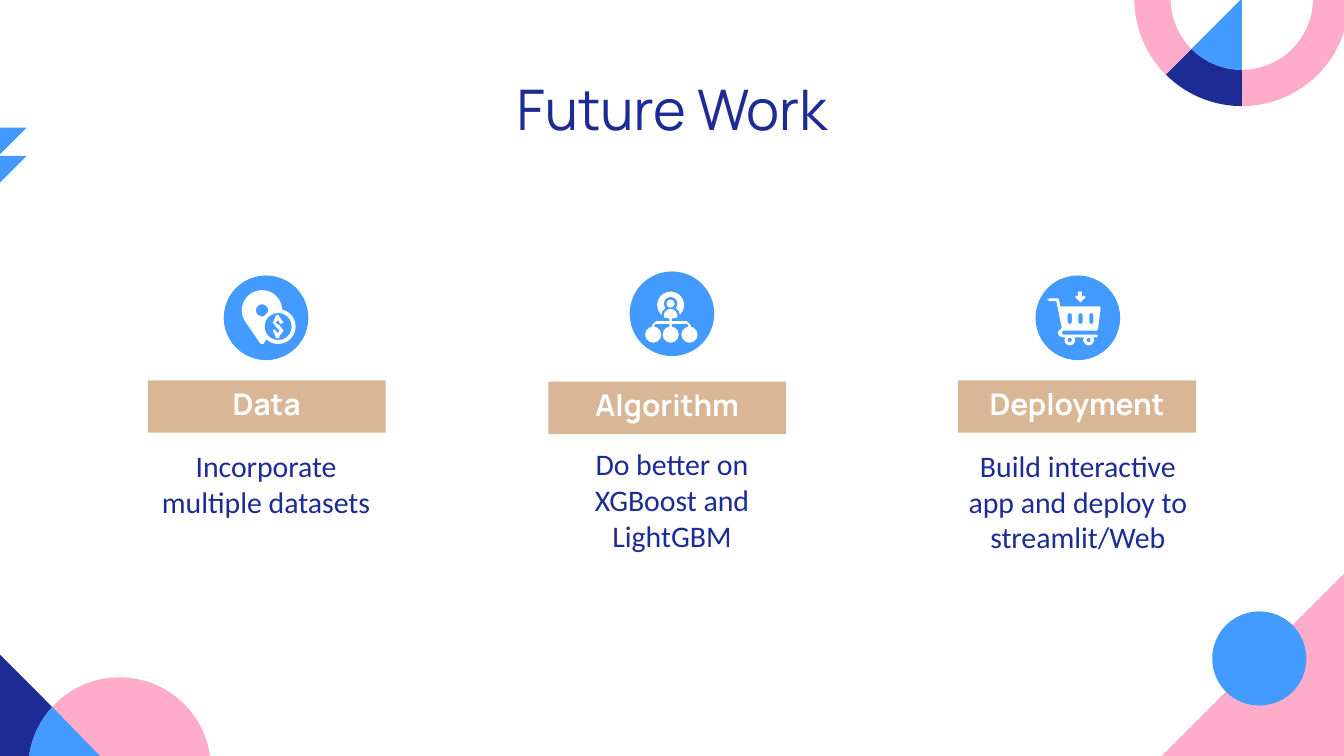
from math import cos, radians, sin

from pptx import Presentation
from pptx.dml.color import RGBColor
from pptx.enum import shapes, text
from pptx.util import Inches, Pt

NAVY, BLUE, PINK, TAN, WHITE = "1D2B95", "449BFF", "FFACCA", "D9B695", "FFFFFF"


def paint(fmt, color):
    """Give a fill a solid colour."""
    fmt.solid()
    fmt.fore_color.rgb = RGBColor.from_string(color)


def write(sp, words, *, font, size, color, bold=False, spacing=None,
          anchor=text.MSO_ANCHOR.TOP):
    tf = sp.text_frame
    tf.word_wrap = True
    tf.auto_size = text.MSO_AUTO_SIZE.NONE
    tf.vertical_anchor = anchor
    tf.margin_left = tf.margin_right = tf.margin_top = tf.margin_bottom = Inches(0.1)
    p = tf.paragraphs[0]
    p.alignment = text.PP_ALIGN.CENTER
    if spacing:
        p.line_spacing = spacing
    r = p.add_run()
    r.text = words
    r.font.name, r.font.size, r.font.bold = font, Pt(size), bold
    r.font.color.rgb = RGBColor.from_string(color)


def arc(cx, cy, radius, start, end):
    """Points along an arc; degrees run clockwise from the right."""
    n = max(8, int(abs(end - start) / 4))
    angles = (radians(start + (end - start) * i / n) for i in range(n + 1))
    return [(cx + radius * cos(a), cy + radius * sin(a)) for a in angles]


def band(cx, cy, outer, inner, start, end):
    """Outline of a piece of a ring."""
    return arc(cx, cy, outer, start, end) + arc(cx, cy, inner, end, start)


def capsule(cx, top, bottom, r):
    return arc(cx, top + r, r, 180, 360) + arc(cx, bottom - r, r, 0, 180)


class Deck:
    def __init__(self, prs, layout):
        self.s = prs.slides.add_slide(prs.slide_layouts[layout])

    def finish(self, sp, color):
        sp.shadow.inherit = False
        paint(sp.fill, color)
        sp.line.fill.background()
        return sp

    def title(self, words, box):
        sp = self.s.shapes.title
        sp.left, sp.top, sp.width, sp.height = map(Inches, box)
        write(sp, words, font="Manrope", size=30, color=NAVY,
              anchor=text.MSO_ANCHOR.MIDDLE)

    def shape(self, kind, box, color):
        return self.finish(self.s.shapes.add_shape(kind, *map(Inches, box)), color)

    def disc(self, cx, cy, r, color):
        return self.shape(shapes.MSO_SHAPE.OVAL, (cx - r, cy - r, 2 * r, 2 * r), color)

    def outline(self, color, *contours):
        """One closed freeform; later contours cut holes in the first."""
        paths = [[(Inches(x), Inches(y)) for x, y in c] for c in contours]
        fb = self.s.shapes.build_freeform(*paths[0][0])
        fb.add_line_segments(paths[0][1:], close=True)
        for path in paths[1:]:
            fb.move_to(*path[0])
            fb.add_line_segments(path[1:], close=True)
        return self.finish(fb.convert_to_shape(), color)

    def header(self, words, left, top):
        sp = self.shape(shapes.MSO_SHAPE.RECTANGLE, (left, top, 1.77, 0.39), TAN)
        write(sp, words, font="Manrope", size=16, color=WHITE, bold=True,
              spacing=0.8, anchor=text.MSO_ANCHOR.MIDDLE)

    def body(self, words, left, top):
        box = map(Inches, (left, top, 2.02, 0.63))
        write(self.s.shapes.add_textbox(*box), words,
              font="Calibri", size=16, color=NAVY)


def draw_corners(d):
    d.outline(PINK, [(10.01, 5.66), (10.01, 4.26), (8.61, 5.66)])
    d.disc(9.37, 4.9, 0.35, BLUE)

    ring = (9.24, -0.01, 0.8, 0.53)
    for color, start, end in ((PINK, 0, 90), (NAVY, 90, 135), (PINK, 135, 180)):
        d.outline(color, band(*ring, start, end))
    d.outline(BLUE, [(9.24, -0.01)] + arc(9.24, -0.01, 0.53, 90, 135))

    d.disc(0.89, 5.72, 0.68, PINK)
    edge = arc(0.89, 5.72, 0.68, 158.5, 222.5)
    d.outline(NAVY, [(-0.02, 4.85), (-0.02, 5.97)] + edge)
    d.outline(BLUE, edge + [(1.08, 5.97)])

    for top in (0.95, 1.16):
        d.outline(BLUE, [(0, top), (0.2, top), (0, top + 0.2)])


def draw_price_pin(d):
    pin = arc(1.95, 2.31, 0.15, 145, 395) + [(1.96, 2.56), (1.94, 2.56)]
    d.outline(WHITE, pin, arc(1.95, 2.31, 0.045, 0, 360))
    d.disc(2.07, 2.43, 0.13, WHITE)
    d.disc(2.07, 2.43, 0.1, BLUE)
    d.outline(WHITE, [
        (2.07, 2.34), (2.05, 2.35), (2.05, 2.36), (2.03, 2.4), (2.06, 2.44),
        (2.08, 2.46), (2.07, 2.48), (2.05, 2.46), (2.04, 2.45), (2.03, 2.46),
        (2.05, 2.5), (2.05, 2.51), (2.07, 2.52), (2.08, 2.51), (2.08, 2.5),
        (2.11, 2.46), (2.08, 2.42), (2.05, 2.4), (2.07, 2.38), (2.08, 2.4),
        (2.09, 2.41), (2.11, 2.4), (2.08, 2.36), (2.08, 2.35)])


def draw_network(d):
    x = 4.99
    d.disc(x, 2.27, 0.1, WHITE)
    d.disc(x, 2.26, 0.05, BLUE)
    d.disc(x, 2.35, 0.07, BLUE)
    d.disc(x, 2.26, 0.03, WHITE)
    d.outline(WHITE, arc(x, 2.35, 0.05, 165, 375) + [(5.0, 2.37), (4.98, 2.37)])
    d.shape(shapes.MSO_SHAPE.RECTANGLE, (4.98, 2.36, 0.02, 0.1), WHITE)
    d.outline(WHITE, [
        (4.85, 2.45), (4.85, 2.42), (4.88, 2.39), (5.11, 2.39), (5.14, 2.42),
        (5.14, 2.45), (5.12, 2.45), (5.12, 2.42), (5.11, 2.41), (4.88, 2.41),
        (4.87, 2.42), (4.87, 2.45)])
    for cx in (4.86, x, 5.13):
        d.disc(cx, 2.49, 0.06, WHITE)


def draw_cart(d):
    d.outline(WHITE, [
        (8.02, 2.17), (8.05, 2.17), (8.05, 2.21), (8.06, 2.2), (8.08, 2.21),
        (8.04, 2.25), (8, 2.21), (8.01, 2.2), (8.02, 2.21)])
    cart = [
        (7.81, 2.22), (7.79, 2.23), (7.81, 2.24), (7.86, 2.24), (7.9, 2.44),
        (7.87, 2.47), (7.88, 2.5), (7.91, 2.51), (8.16, 2.51), (8.17, 2.5),
        (8.16, 2.49), (7.91, 2.49), (7.9, 2.48), (7.91, 2.46), (8.16, 2.46),
        (8.17, 2.45), (8.19, 2.29), (8.18, 2.28), (7.89, 2.28), (7.88, 2.23),
        (7.87, 2.22)]
    d.outline(WHITE, cart, *(capsule(cx, 2.33, 2.41, 0.015)
                             for cx in (7.96, 8.04, 8.12)))
    for cx in (7.96, 8.1):
        d.disc(cx, 2.53, 0.04, WHITE)
        d.disc(cx, 2.53, 0.015, BLUE)


def main():
    prs = Presentation()
    prs.slide_width = Inches(10)
    prs.slide_height = prs.slide_width * 9 // 16
    d = Deck(prs, layout=5)
    draw_corners(d)
    d.title("Future Work", (0.78, 0.49, 8.44, 0.63))

    # heading, text, icon, heading left, tops of badge, heading and text
    columns = [
        ("Data", "Incorporate multiple datasets", draw_price_pin,
         1.1, 2.05, 2.83, 3.23),
        ("Algorithm", "Do better on XGBoost and LightGBM", draw_network,
         4.08, 2.02, 2.84, 3.22),
        ("Deployment", "Build interactive app and deploy to streamlit/Web", draw_cart,
         7.13, 2.05, 2.83, 3.23),
    ]
    for i, (name, words, icon, left, badge, head, body) in enumerate(columns):
        center = 5 + 3.02 * (i - 1)
        d.header(name, left, head)
        d.body(words, center - 1.01, body)
        d.disc(center, badge + 0.315, 0.315, BLUE)
        icon(d)

    prs.save("out.pptx")


if __name__ == "__main__":
    main()
